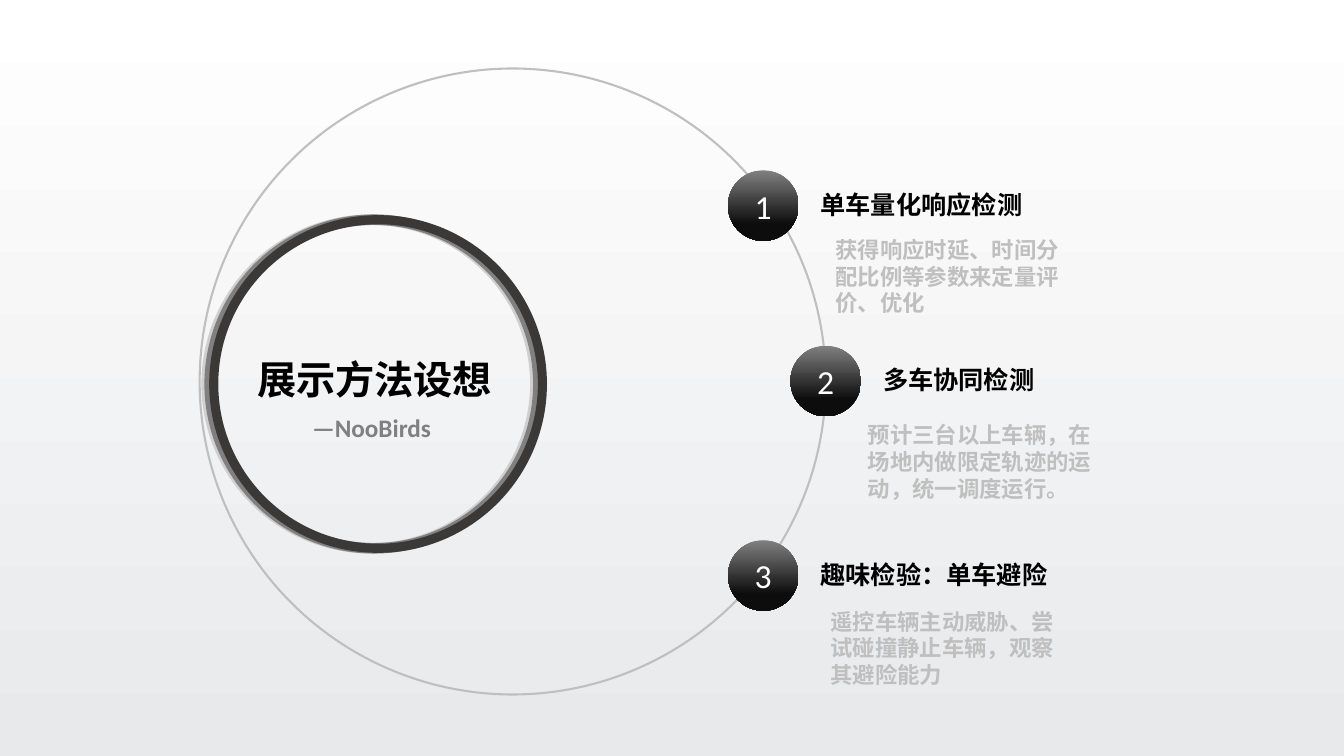
import pptx
import pptx.dml.color
import pptx.enum.shapes
import pptx.enum.text
import pptx.util

Inches = pptx.util.Inches
OVAL = pptx.enum.shapes.MSO_SHAPE.OVAL
ALIGN = pptx.enum.text.PP_ALIGN
ANCHOR = pptx.enum.text.MSO_ANCHOR
AUTO_SIZE = pptx.enum.text.MSO_AUTO_SIZE

NODE_SIZE = 0.7
LINE_HEIGHT = 0.4

STEPS = [
    ((7.22, 1.69), 2.21, "单车量化响应检测",
     (0.97, 0.6, 2.43, 0.91), "获得响应时延、时间分配比例等参数来定量评价、优化"),
    ((7.84, 3.43), 1.7, "多车协同检测",
     (0.67, 0.7, 2.53, 0.91), "预计三台以上车辆，在场地内做限定轨迹的运动，统一调度运行。"),
    ((7.22, 5.36), 2.46, "趣味检验：单车避险",
     (0.92, 0.62, 2.53, 0.91), "遥控车辆主动威胁、尝试碰撞静止车辆，观察其避险能力"),
]


def colour(value):
    return pptx.dml.color.RGBColor.from_string(value)


def fill_gradient(fill, *stops):
    fill.gradient()
    fill.gradient_angle = 270
    for stop, (position, value) in zip(fill.gradient_stops, stops):
        stop.position = position
        stop.color.rgb = colour(value)


def write(shape, text, size, value, bold=True, font="Calibri", align=ALIGN.LEFT,
          anchor=ANCHOR.TOP, wrap=False):
    frame = shape.text_frame
    frame.auto_size = AUTO_SIZE.NONE
    frame.word_wrap = wrap
    frame.vertical_anchor = anchor
    para = frame.paragraphs[0]
    para.alignment = align
    span = para.add_run()
    span.text = text
    span.font.name = font
    span.font.size = pptx.util.Pt(size)
    span.font.bold = bold
    span.font.color.rgb = colour(value)


def add_text(page, box, text, size, value, **style):
    shape = page.shapes.add_textbox(*map(Inches, box))
    write(shape, text, size, value, **style)


def add_circle(shapes, left, top, size):
    circle = shapes.add_shape(OVAL, *map(Inches, (left, top, size, size)))
    circle.shadow.inherit = False
    return circle


def add_ring(shapes, left, top, size, value, width):
    ring = add_circle(shapes, left, top, size)
    ring.fill.background()
    ring.line.color.rgb = colour(value)
    ring.line.width = pptx.util.Pt(width)


def add_hub(page, left, top, size):
    rings = page.shapes.add_group_shape()
    for shift, value, width in ((0, "D0CECE", 7.5), (0.03, "808080", 7.5),
                                (0.07, "3B3838", 6.5)):
        add_ring(rings.shapes, left + shift, top, size, value, width)
    title = page.shapes.title
    title.left, title.top = Inches(left + 0.4), Inches(top + 1.29)
    title.width, title.height = Inches(2.54), Inches(0.57)
    write(title, "展示方法设想", 28, "000000")
    add_text(page, (left + 0.46, top + 1.86, 2.35, LINE_HEIGHT), "—NooBirds",
             18, "808080", align=ALIGN.CENTER, wrap=True)


def add_step(page, number, corner, heading_width, heading, detail_box, detail):
    left, top = corner
    node = add_circle(page.shapes, left, top, NODE_SIZE)
    fill_gradient(node.fill, (0, "808080"), (0.76, "0D0D0D"))
    node.line.fill.background()
    write(node, str(number), 24, "FFFFFF", bold=False, align=ALIGN.CENTER,
          anchor=ANCHOR.MIDDLE)
    add_text(page, (left + 0.82, top + 0.14, heading_width, LINE_HEIGHT),
             heading, 18, "000000")
    shift_x, shift_y, width, height = detail_box
    add_text(page, (left + shift_x, top + shift_y, width, height), detail,
             16, "BFBFBF", font="Arial", wrap=True)


def main():
    deck = pptx.Presentation()
    deck.slide_width, deck.slide_height = Inches(13.33), Inches(7.5)
    page = deck.slides.add_slide(deck.slide_layouts.get_by_name("Title Only"))
    fill_gradient(page.background.fill, (0, "FFFFFF"), (1, "E8E9EB"))
    add_hub(page, 2.05, 2.18, 3.26)
    add_ring(page.shapes, 1.98, 0.68, 6.21, "BFBFBF", 1.5)
    for number, step in enumerate(STEPS, 1):
        add_step(page, number, *step)
    deck.save("out.pptx")


if __name__ == "__main__":
    main()
